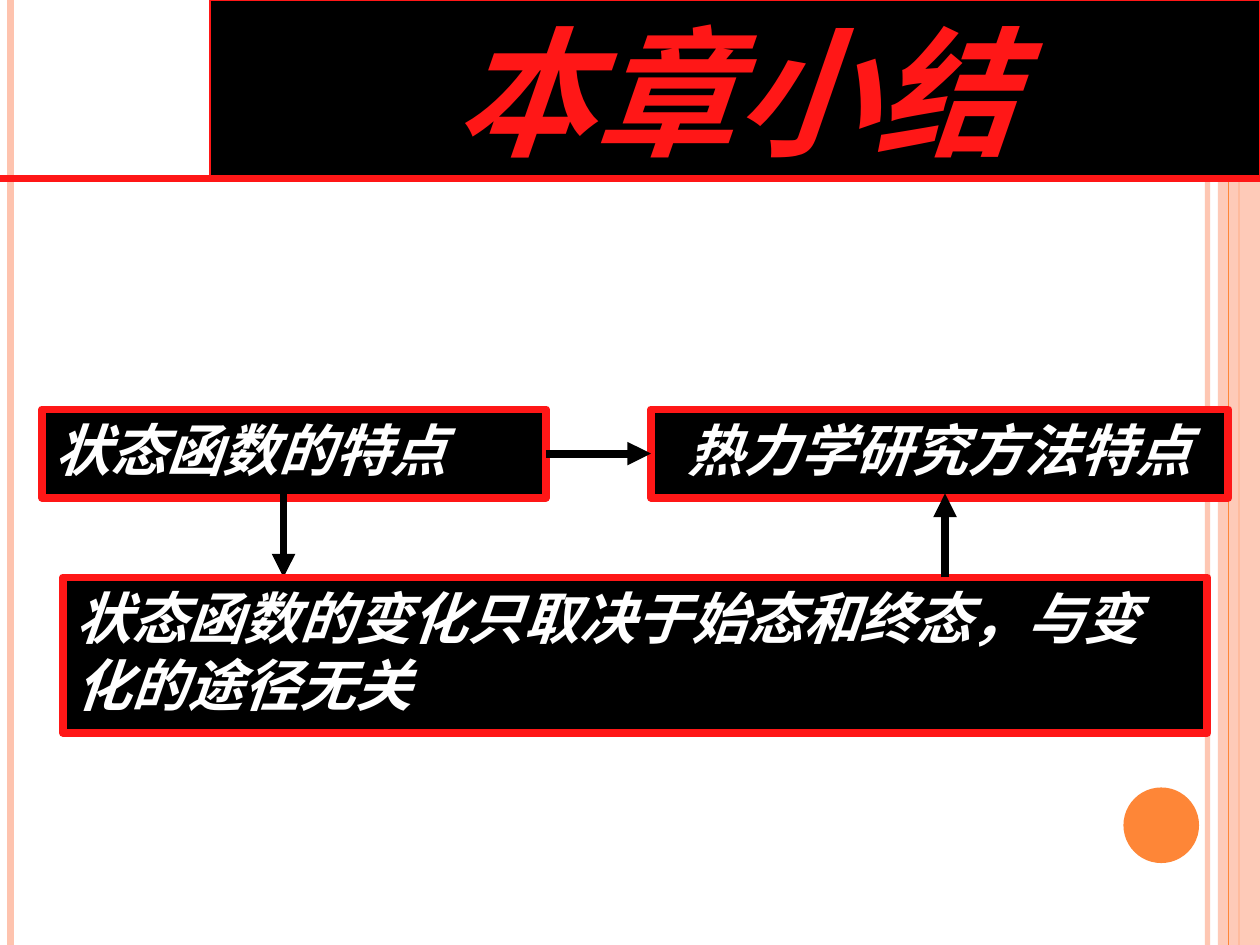
from lxml import etree
from pptx import Presentation
from pptx.dml.color import RGBColor
from pptx.enum.shapes import MSO_CONNECTOR as CONN, MSO_SHAPE as SHAPE
from pptx.enum.text import MSO_ANCHOR as ANCHOR, PP_ALIGN as ALIGN
from pptx.oxml.ns import qn
from pptx.util import Inches, Pt

UNIT = Inches(1) / 12  # grid of 120 columns by 90 rows
COLS, ROWS = 120, 90
COLORS = {"red": "FF1717", "black": "000000", "white": "FFFFFF",
          "peach": "FEC3AE", "orange": "FE8637"}
CJK, SERIF = "Noto Sans CJK JP", "Times New Roman"


def grid(*values):
    return [round(v * UNIT) for v in values]


def rgb(name):
    return RGBColor.from_string(COLORS[name])


def set_alpha(sp, percent):
    """Make the first colour of a shape or line see-through."""
    clr = next(sp._element.spPr.iter(qn("a:srgbClr")))
    etree.SubElement(clr, qn("a:alpha"), val=str(percent * 1000))


def add_block(s, kind, x, y, w, h, fill, line=None, width=0, alpha=None):
    sp = s.shapes.add_shape(kind, *grid(x, y, w, h))
    sp.shadow.inherit = False
    sp.fill.solid()
    sp.fill.fore_color.rgb = rgb(fill)
    if alpha:
        set_alpha(sp, alpha)
    if line:
        sp.line.color.rgb = rgb(line)
        sp.line.width = Pt(width)
    else:
        sp.line.fill.background()
    return sp


def add_line(s, x1, y1, x2, y2, color, width, alpha=None, arrow=False):
    c = s.shapes.add_connector(CONN.STRAIGHT, *grid(x1, y1, x2, y2))
    c.line.color.rgb = rgb(color)
    c.line.width = Pt(width)
    if alpha:
        set_alpha(c, alpha)
    spPr = c._element.spPr
    if arrow:
        etree.SubElement(spPr.find(qn("a:ln")), qn("a:tailEnd"), type="triangle")
    etree.SubElement(spPr, qn("a:effectLst"))
    return c


def write(sp, text, size, color, font, align, anchor):
    tf = sp.text_frame
    tf.word_wrap = True
    tf.vertical_anchor = anchor
    tf.text = text
    p = tf.paragraphs[0]
    p.alignment = align
    r = p.runs[0]
    r.font.size, r.font.bold, r.font.italic = Pt(size), True, True
    r.font.color.rgb = rgb(color)
    r.font.name = font
    etree.SubElement(r._r.get_or_add_rPr(), qn("a:ea"), typeface=CJK)


def add_frame(s, x, y, w, h):
    """Stripes and dot along the edges of the box."""
    right, bottom = x + w, y + h

    def stripe(at, color, width, alpha=None):
        add_line(s, at, y, at, bottom, color, width, alpha)

    stripe(right - 5, "peach", 3, 93)
    stripe(x + 1, "peach", 4.5)
    stripe(right - 2, "orange", 1.5)
    add_block(s, SHAPE.RECTANGLE, right - 4, y, 4, h, "peach", alpha=87)
    stripe(right - 3, "orange", 0.75)
    add_block(s, SHAPE.OVAL, right - 13, bottom - 15, 7.2, 7.2, "orange")


def add_title(s, x, y, w, h, text):
    """Title panel with a rule below it across the whole box."""
    indent = w / 6
    sp = add_block(s, SHAPE.RECTANGLE, x + indent, y, w - indent, h, "black", "red", 0.75)
    write(sp, text, 80, "red", CJK, ALIGN.CENTER, ANCHOR.MIDDLE)
    add_line(s, x, y + h, x + w, y + h, "red", 4.5)


def add_diagram(s, x, y, w, h):
    """Two boxes above a wide one, linked by arrows."""
    top_h, low_y = 8.4, y + 16

    def box(left, top, width, height, text, align=ALIGN.LEFT):
        sp = add_block(s, SHAPE.RECTANGLE, left, top, width, height, "black", "red", 4.5)
        write(sp, text, 32, "white", SERIF, align, ANCHOR.TOP)
        return sp

    def arrow(*ends):
        return add_line(s, *ends, "black", 4.5, arrow=True)

    state = box(x, y, 48, top_h, "状态函数的特点")
    arrow(x + 23, y + 8, x + 23, low_y)
    box(x + 2, low_y, w - 4, h - 16, "状态函数的变化只取决于始态和终态，与变化的途径无关")
    method = box(x + 58, y, w - 58, top_h, "热力学研究方法特点", ALIGN.CENTER)
    link = arrow(x + 48, y + 4, x + 58, y + 4)
    link.begin_connect(state, 3)
    link.end_connect(method, 1)
    arrow(x + 86, low_y, x + 86, y + 8)


def main():
    prs = Presentation()
    prs.slide_width, prs.slide_height = grid(COLS, ROWS)
    s = prs.slides.add_slide(prs.slide_layouts[6])
    add_frame(s, 0, 0, COLS, ROWS)
    add_title(s, 0, 0, COLS, 17, "本章小结")
    add_diagram(s, 4, 39, 113, 30.8)
    prs.save("out.pptx")


if __name__ == "__main__":
    main()
